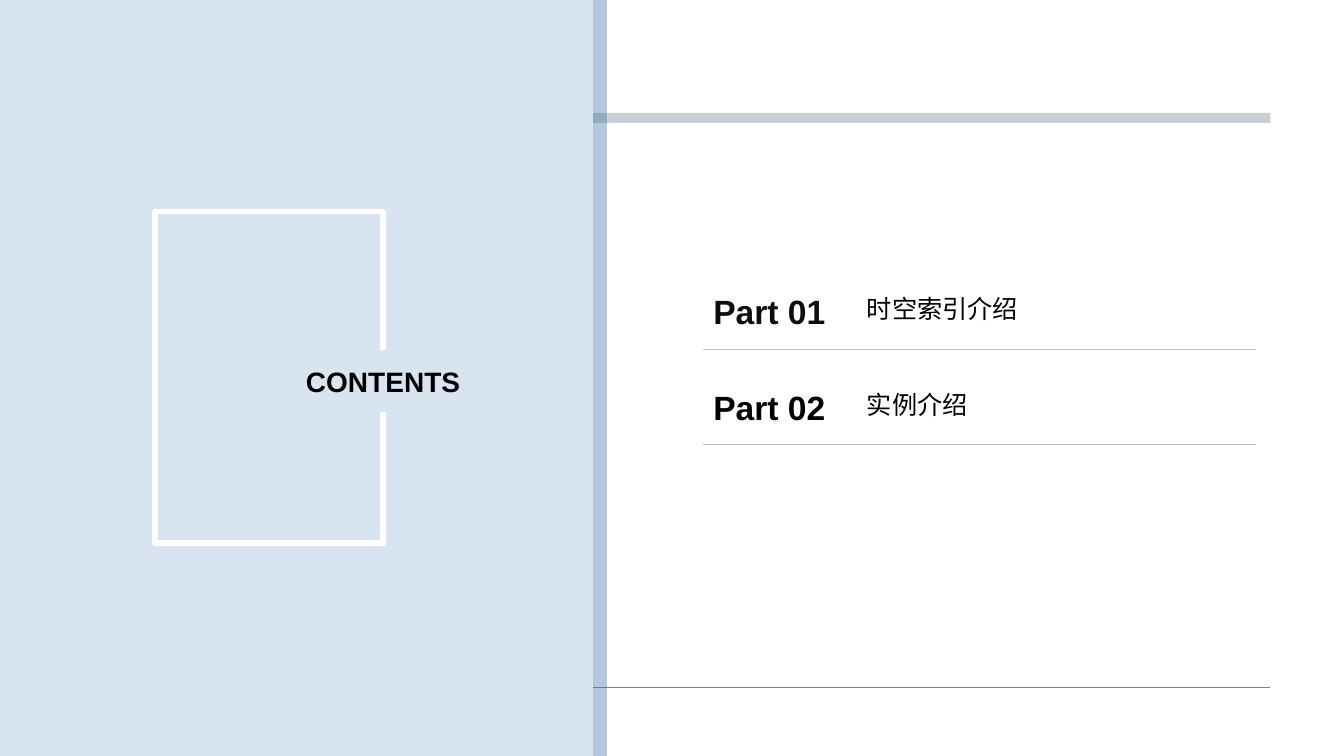
from lxml import etree
from pptx import Presentation
from pptx import util as u
from pptx.dml.color import RGBColor
from pptx.enum import shapes, text
from pptx.oxml import ns

BLACK = RGBColor(0x00, 0x00, 0x00)
NEAR_BLACK = RGBColor(0x0D, 0x0D, 0x0D)
WHITE = RGBColor(0xFF, 0xFF, 0xFF)
PALE_BLUE = RGBColor(0xD8, 0xE4, 0xF0)
SHADOW_BLUE = RGBColor(0x42, 0x76, 0xAA)
BAR_GREY = RGBColor(0xC9, 0xCE, 0xD5)
RULE_GREY = RGBColor(0x80, 0x80, 0x80)
DIVIDER_GREY = RGBColor(0xBF, 0xBF, 0xBF)

PARTS = [("Part 01", "时空索引介绍", NEAR_BLACK), ("Part 02", "实例介绍", BLACK)]
FIRST_PART_TOP = 2.72
PART_STEP = 0.95


class ContentsSlide:
    font = "Arial"

    def __init__(self, presentation):
        self.slide = presentation.slides.add_slide(presentation.slide_layouts[6])

    def rectangle(self, left, top, width, height, fill, outline=None, weight=0):
        shape = self.slide.shapes.add_shape(
            shapes.MSO_SHAPE.RECTANGLE,
            u.Inches(left), u.Inches(top), u.Inches(width), u.Inches(height))
        shape.shadow.inherit = False
        shape.fill.solid()
        shape.fill.fore_color.rgb = fill
        if outline is None:
            shape.line.fill.background()
        else:
            shape.line.color.rgb = outline
            shape.line.width = u.Pt(weight)
        return shape

    def side_shadow(self, shape, color, distance, opacity):
        """Cast a sharp shadow to the right; opacity is in percent."""
        effects = shape._element.spPr.find(ns.qn("a:effectLst"))
        shadow = etree.SubElement(
            effects, ns.qn("a:outerShdw"), blurRad="0", dist=str(u.Pt(distance)),
            dir="0", algn="l", rotWithShape="0")
        shade = etree.SubElement(shadow, ns.qn("a:srgbClr"), val=str(color))
        etree.SubElement(shade, ns.qn("a:alpha"), val=str(opacity * 1000))

    def rule(self, left, right, y, color, weight):
        """Draw a horizontal line."""
        line = self.slide.shapes.add_connector(
            shapes.MSO_CONNECTOR.STRAIGHT,
            u.Inches(left), u.Inches(y), u.Inches(right), u.Inches(y))
        line.line.color.rgb = color
        line.line.width = u.Pt(weight)
        etree.SubElement(line._element.spPr, ns.qn("a:effectLst"))

    def set_words(self, shape, words, size, color=BLACK, bold=False, centred=False,
                  wrap=True, spacing=None):
        frame = shape.text_frame
        frame.text = words
        frame.word_wrap = wrap
        frame.vertical_anchor = text.MSO_ANCHOR.MIDDLE
        paragraph = frame.paragraphs[0]
        paragraph.alignment = text.PP_ALIGN.CENTER if centred else text.PP_ALIGN.LEFT
        paragraph.line_spacing = spacing
        font = paragraph.runs[0].font
        font.name = self.font
        font.size = u.Pt(size)
        font.bold = bold
        font.color.rgb = color

    def label(self, left, top, width, height, words, size, **style):
        box = self.slide.shapes.add_textbox(
            u.Inches(left), u.Inches(top), u.Inches(width), u.Inches(height))
        self.set_words(box, words, size, spacing=1.5, **style)


def main():
    presentation = Presentation()
    presentation.slide_width = u.Inches(13.33)
    presentation.slide_height = u.Inches(7.5)
    contents = ContentsSlide(presentation)

    contents.rule(0.73, 12.6, 6.82, RULE_GREY, 0.5)
    contents.rectangle(0.76, 1.12, 11.84, 0.1, BAR_GREY)

    panel = contents.rectangle(0, 0, 5.88, 7.53, PALE_BLUE)
    contents.side_shadow(panel, SHADOW_BLUE, distance=10, opacity=40)
    contents.rectangle(1.54, 2.1, 2.26, 3.29, PALE_BLUE, WHITE, 4)
    heading = contents.rectangle(2.58, 3.47, 2.44, 0.62, PALE_BLUE)
    contents.set_words(heading, "CONTENTS", 20, bold=True, centred=True, wrap=False)

    for index, (number, title, color) in enumerate(PARTS):
        top = FIRST_PART_TOP + index * PART_STEP
        contents.label(8.5, top, 3.96, 0.53, title, 18)
        contents.label(6.77, top, 1.72, 0.53, number, 24,
                       color=color, bold=True, centred=True)
        contents.rule(6.97, 12.46, top + 0.74, DIVIDER_GREY, 0.25)

    presentation.save("out.pptx")


if __name__ == "__main__":
    main()
